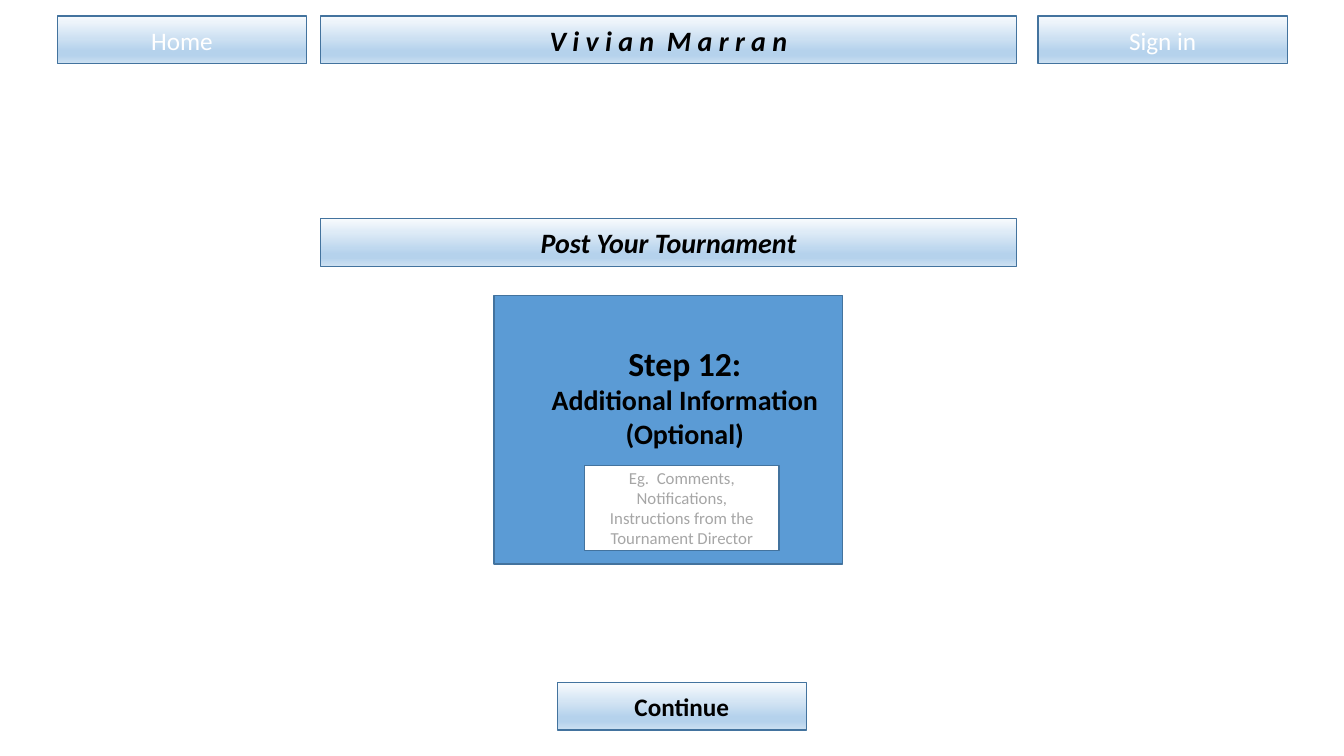
from dataclasses import dataclass
from typing import NamedTuple

from lxml.etree import SubElement
from pptx import Presentation
from pptx.dml.color import RGBColor
from pptx.enum.shapes import MSO_SHAPE
from pptx.enum.text import MSO_ANCHOR, PP_ALIGN
from pptx.oxml.ns import qn
from pptx.util import Pt


@dataclass(frozen=True)
class Theme:
    font: str = "Calibri"
    black: str = "000000"
    white: str = "FFFFFF"
    hint: str = "A6A6A6"
    panel: str = "5B9BD5"
    outline: str = "43739E"
    gradient: tuple = ((0, "F7FAFD"), (74, "B5D2EC"), (83, "B5D2EC"), (100, "CEE1F2"))
    step_size: int = 24
    title_size: int = 20
    button_size: int = 18
    hint_size: int = 12


class Box(NamedTuple):
    left: float
    top: float
    width: float
    height: float

    def inner(self, left, top, width, height):
        """Return a box whose position is an offset from this one."""
        return Box(self.left + left, self.top + top, width, height)

    def in_points(self):
        return [Pt(length) for length in self]


THEME = Theme()
BAR_HEIGHT = 34
BUTTON_WIDTH = 178
TITLE_WIDTH = 497


def write_paragraph(para, text, size, color, bold=False, italic=False):
    para.text = text
    para.alignment = PP_ALIGN.CENTER
    font = para.font
    font.name, font.size = THEME.font, Pt(size)
    font.bold, font.italic = bold, italic
    font.color.rgb = RGBColor.from_string(color)


def add_rectangle(page, box, color=None):
    """Add an outlined rectangle, filled with the bar gradient if no color is given."""
    shape = page.shapes.add_shape(MSO_SHAPE.RECTANGLE, *box.in_points())
    shape.shadow.inherit = False
    shape.line.color.rgb = RGBColor.from_string(THEME.outline)
    shape.line.width = Pt(1)
    if color:
        shape.fill.solid()
        shape.fill.fore_color.rgb = RGBColor.from_string(color)
    else:
        shape.fill.gradient()
        shape.fill.gradient_angle = 270
        stops = shape.element.spPr.find(qn("a:gradFill")).find(qn("a:gsLst"))
        stops.clear()
        for percent, stop_color in THEME.gradient:
            stop = SubElement(stops, qn("a:gs"), pos=str(percent * 1000))
            SubElement(stop, qn("a:srgbClr"), val=stop_color)
    frame = shape.text_frame
    frame.word_wrap = True
    frame.vertical_anchor = MSO_ANCHOR.MIDDLE
    return shape


def add_title(page, box, text):
    bar = add_rectangle(page, box)
    write_paragraph(bar.text_frame.paragraphs[0], text, THEME.title_size,
                    THEME.black, bold=True, italic=True)


def add_button(page, box, text, color=THEME.white, bold=False):
    button = add_rectangle(page, box)
    write_paragraph(button.text_frame.paragraphs[0], text, THEME.button_size, color, bold)


def add_header(page, box):
    add_button(page, box.inner(0, 0, BUTTON_WIDTH, box.height), "Home")
    add_title(page, box.inner(188, 0, TITLE_WIDTH, box.height), "V i v i a n  M a r r a n")
    add_button(page, box.inner(box.width - BUTTON_WIDTH, 0, BUTTON_WIDTH, box.height),
               "Sign in")


def add_step_panel(page, box):
    add_rectangle(page, box, THEME.panel)

    field = add_rectangle(page, box.inner(64.6, 121.6, 139, 60.5), THEME.white)
    write_paragraph(field.text_frame.paragraphs[0],
                    "Eg.  Comments, Notifications, Instructions from the Tournament Director",
                    THEME.hint_size, THEME.hint)

    heading = page.shapes.add_textbox(*box.inner(30, 30.2, 212.4, 106.6).in_points())
    frame = heading.text_frame
    frame.word_wrap = True
    write_paragraph(frame.paragraphs[0], "Step 12:", THEME.step_size, THEME.black, bold=True)
    write_paragraph(frame.add_paragraph(), "Additional Information (Optional)",
                    THEME.title_size, THEME.black, bold=True)


def main():
    deck = Presentation()
    deck.slide_width, deck.slide_height = Pt(960), Pt(540)
    page = deck.slides.add_slide(deck.slide_layouts[6])
    add_header(page, Box(41, 11.5, 878.5, BAR_HEIGHT))
    add_title(page, Box(229, 156.2, TITLE_WIDTH, BAR_HEIGHT), "Post Your Tournament")
    add_step_panel(page, Box(353, 211, 249, 191.8))
    add_button(page, Box(398, 487.4, BUTTON_WIDTH, BAR_HEIGHT), "Continue",
               THEME.black, bold=True)
    deck.save("out.pptx")


if __name__ == "__main__":
    main()
